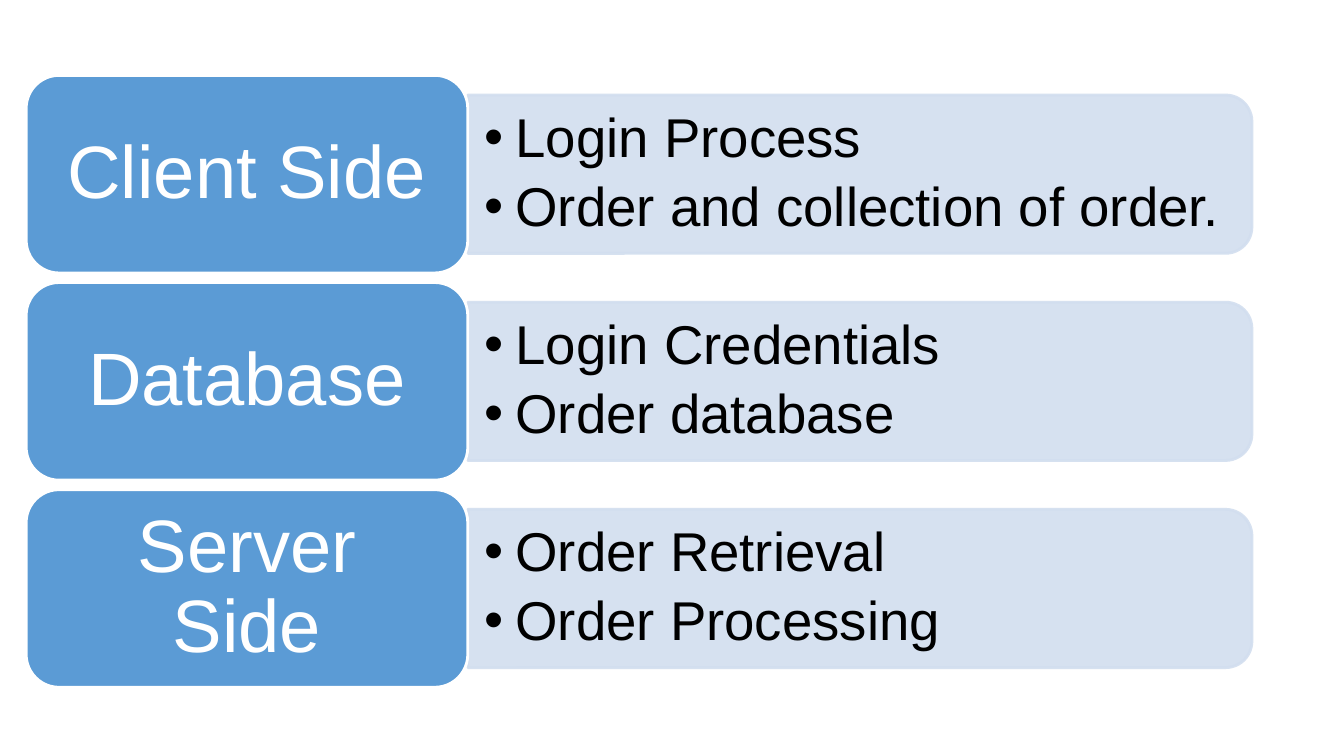
from lxml import etree
from pptx import Presentation
from pptx.dml.color import RGBColor
from pptx.enum.shapes import MSO_SHAPE
from pptx.enum.text import MSO_ANCHOR, PP_ALIGN
from pptx.oxml.ns import qn
from pptx.util import Cm, Pt

ROUNDED = MSO_SHAPE.ROUNDED_RECTANGLE
ROUNDED_END = MSO_SHAPE.ROUND_2_SAME_RECTANGLE
MIDDLE = MSO_ANCHOR.MIDDLE
CENTER = PP_ALIGN.CENTER

FONT = "Arial"
COLORS = {"label": "5B9BD5", "panel": "D2DEEF", "white": "FFFFFF", "black": "000000"}

# Row geometry in centimetres
LEFT, TOP, PITCH = 0.66, 1.9, 5.22
LABEL_WIDTH, LABEL_HEIGHT = 11.13, 4.98
PANEL_WIDTH, PANEL_HEIGHT = 19.76, 3.99
LIST_WIDTH, LIST_HEIGHT = 19.56, 3.58

TIERS = [
    ("Client Side", ["Login Process", "Order and collection of order."]),
    ("Database", ["Login Credentials", "Order database"]),
    ("Server Side", ["Order Retrieval", "Order Processing"]),
]


def color(name):
    return RGBColor.from_string(COLORS[name])


def add_block(page, kind, left, top, width, height, fill, line):
    block = page.shapes.add_shape(kind, Cm(left), Cm(top), Cm(width), Cm(height))
    block.shadow.inherit = False
    block.fill.solid()
    block.fill.fore_color.rgb = color(fill)
    block.line.color.rgb = color(line)
    block.line.width = Pt(2)
    return block


def set_frame(frame, side, edge):
    frame.word_wrap = True
    frame.vertical_anchor = MIDDLE
    frame.margin_left = frame.margin_right = Cm(side)
    frame.margin_top = frame.margin_bottom = Cm(edge)


def style_paragraph(paragraph, size, font_color):
    paragraph.line_spacing = 0.9
    paragraph.font.name = FONT
    paragraph.font.size = Pt(size)
    paragraph.font.color.rgb = color(font_color)


def add_bullet(paragraph):
    properties = paragraph._p.get_or_add_pPr()
    properties.set("marL", str(Cm(0.79)))
    properties.set("indent", str(-Cm(0.79)))
    etree.SubElement(properties, qn("a:buFont"), typeface=FONT)
    etree.SubElement(properties, qn("a:buChar"), char="•")


def add_panel(page, left, middle):
    # The upright shape is turned so that its rounded end faces right
    panel = add_block(page, ROUNDED_END, left + (PANEL_WIDTH - PANEL_HEIGHT) / 2,
                      middle - PANEL_WIDTH / 2, PANEL_HEIGHT, PANEL_WIDTH,
                      "panel", "panel")
    panel.rotation = 90
    for shade in panel._element.spPr.iter(qn("a:srgbClr")):
        etree.SubElement(shade, qn("a:alpha"), val="90000")


def add_list(page, left, middle, items):
    box = page.shapes.add_textbox(Cm(left), Cm(middle - LIST_HEIGHT / 2),
                                  Cm(LIST_WIDTH), Cm(LIST_HEIGHT))
    frame = box.text_frame
    set_frame(frame, 0.41, 0.2)
    frame.text = "\n".join(items)
    for paragraph in frame.paragraphs:
        add_bullet(paragraph)
        paragraph.space_after = Pt(7.5)
        style_paragraph(paragraph, 39, "black")


def add_label(page, middle, text):
    label = add_block(page, ROUNDED, LEFT, middle - LABEL_HEIGHT / 2,
                      LABEL_WIDTH, LABEL_HEIGHT, "label", "white")
    frame = label.text_frame
    set_frame(frame, 0.56, 0.28)
    frame.text = text
    paragraph = frame.paragraphs[0]
    paragraph.alignment = CENTER
    style_paragraph(paragraph, 53, "white")


def main():
    deck = Presentation()
    deck.slide_width, deck.slide_height = Cm(33.87), Cm(19.05)
    page = deck.slides.add_slide(deck.slide_layouts[6])

    # One row per tier: panel, its list, then the label
    for row, (name, items) in enumerate(TIERS):
        middle = TOP + LABEL_HEIGHT / 2 + row * PITCH
        add_panel(page, LEFT + LABEL_WIDTH, middle)
        add_list(page, LEFT + LABEL_WIDTH, middle, items)
        add_label(page, middle, name)

    deck.save("out.pptx")


if __name__ == "__main__":
    main()
